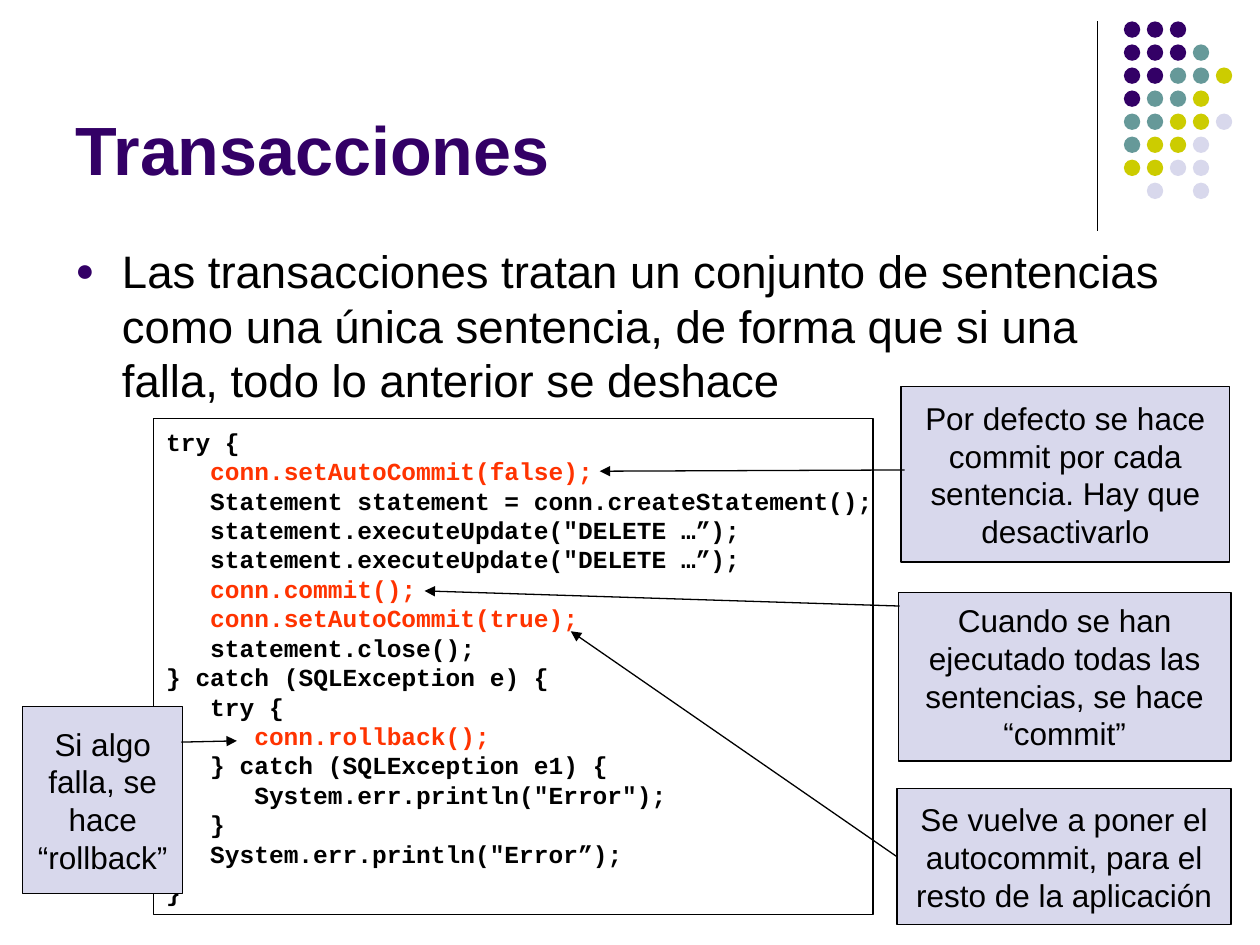
from lxml import etree
from pptx import Presentation
from pptx import util as u
from pptx.dml.color import RGBColor
from pptx.enum import shapes, text
from pptx.oxml.ns import qn

COLORS = {"purple": "330066", "teal": "669999", "lime": "CCCC00", "lilac": "D8D8EC",
          "black": "000000", "white": "FFFFFF", "red": "FF3300"}
rgb = {name: RGBColor.from_string(value) for name, value in COLORS.items()}


def style(p, size, color="black", font="Arial", bold=False):
    p.line_spacing = u.Pt(size * 1.2)
    for r in p.runs:
        r.font.size, r.font.name, r.font.bold = u.Pt(size), font, bold
        r.font.color.rgb = rgb[color]


def add_line(x1, y1, x2, y2, arrow=True):
    c = s.shapes.add_connector(shapes.MSO_CONNECTOR.STRAIGHT, u.Inches(x1), u.Inches(y1),
                               u.Inches(x2), u.Inches(y2))
    c.line.color.rgb, c.line.width = rgb["black"], u.Pt(0.75)
    if arrow:
        etree.SubElement(c.line._get_or_add_ln(), qn("a:tailEnd"), type="triangle")
    etree.SubElement(c._element.spPr, qn("a:effectLst"))
    return c


prs = Presentation()
prs.slide_width, prs.slide_height = u.Inches(10), u.Inches(7.5)
s = prs.slides.add_slide(prs.slide_layouts[5])

add_line(8.71, 0.17, 8.71, 1.83, arrow=False)
dot_colors = {"P": "purple", "T": "teal", "Y": "lime", "L": "lilac"}
dot_rows = ["PPP", "PPPT", "PPTTY", "PTTY", "TTYYL", "TYYL", "YYLL", ".L.L"]
for row, marks in enumerate(dot_rows):
    for col, mark in enumerate(marks):
        if mark in dot_colors:
            sp = s.shapes.add_shape(shapes.MSO_SHAPE.OVAL, u.Inches(8.92 + col * 0.73 / 4),
                                    u.Inches(0.17 + row * 1.28 / 7), u.Inches(0.13), u.Inches(0.13))
            sp.shadow.inherit = False
            sp.fill.solid()
            sp.fill.fore_color.rgb = rgb[dot_colors[mark]]
            sp.line.fill.background()

title = s.shapes.title
title.left, title.top, title.width, title.height = map(u.Inches, (0.5, 0.13, 8.25, 1.42))
tf = title.text_frame
tf.text = "Transacciones"
tf.vertical_anchor = text.MSO_ANCHOR.BOTTOM
tf.paragraphs[0].alignment = text.PP_ALIGN.LEFT
style(tf.paragraphs[0], 39, "purple", bold=True)

body = s.shapes.add_textbox(u.Inches(0.5), u.Inches(1.88), u.Inches(9), u.Inches(1.44))
tf = body.text_frame
tf.word_wrap = True
tf.text = ("Las transacciones tratan un conjunto de sentencias como una única sentencia, "
           "de forma que si una falla, todo lo anterior se deshace")
p = tf.paragraphs[0]
style(p, 26)
pPr = p._p.get_or_add_pPr()
pPr.set("marL", str(u.Inches(0.37)))
pPr.set("indent", str(-u.Inches(0.37)))
bullet_color = etree.SubElement(pPr, qn("a:buClr"))
etree.SubElement(bullet_color, qn("a:srgbClr"), val=COLORS["purple"])
etree.SubElement(pPr, qn("a:buSzPct"), val="70000")
etree.SubElement(pPr, qn("a:buFont"), typeface="Arial")
etree.SubElement(pPr, qn("a:buChar"), char="●")

code_lines = [
    (0, "try {", "black"),
    (1, "conn.setAutoCommit(false);", "red"),
    (1, "Statement statement = conn.createStatement();", "black"),
    (1, 'statement.executeUpdate("DELETE …”);', "black"),
    (1, 'statement.executeUpdate("DELETE …”);', "black"),
    (1, "conn.commit();", "red"),
    (1, "conn.setAutoCommit(true);", "red"),
    (1, "statement.close();", "black"),
    (0, "} catch (SQLException e) {", "black"),
    (1, "try {", "black"),
    (2, "conn.rollback();", "red"),
    (1, "} catch (SQLException e1) {", "black"),
    (2, 'System.err.println("Error");', "black"),
    (1, "}", "black"),
    (1, 'System.err.println("Error”);', "black"),
    (0, "}", "black"),
]
boxes = [
    ("white", 1.22, 3.32, 5.71, 3.94, "\n".join(line for _, line, _ in code_lines)),
    ("lilac", 7.15, 3.07, 2.61, 1.39,
     "Por defecto se hace commit por cada sentencia. Hay que desactivarlo"),
    ("lilac", 7.13, 4.7, 2.64, 1.34,
     "Cuando se han ejecutado todas las sentencias, se hace “commit”"),
    ("lilac", 7.12, 6.26, 2.65, 1.08,
     "Se vuelve a poner el autocommit, para el resto de la aplicación"),
    ("lilac", 0.18, 5.61, 1.27, 1.48, "Si algo falla, se hace “rollback”"),
]
drawn = []
for fill, x, y, w, h, words in boxes:
    sp = s.shapes.add_shape(shapes.MSO_SHAPE.RECTANGLE, *map(u.Inches, (x, y, w, h)))
    sp.shadow.inherit = False
    sp.fill.solid()
    sp.fill.fore_color.rgb = rgb[fill]
    sp.line.color.rgb, sp.line.width = rgb["black"], u.Pt(0.75)
    tf = sp.text_frame
    tf.vertical_anchor = text.MSO_ANCHOR.MIDDLE
    tf.word_wrap = True
    tf.text = words
    for p in tf.paragraphs:
        p.alignment = text.PP_ALIGN.CENTER
        style(p, 18)
    drawn.append(sp)

code, _, _, autocommit, _ = drawn
tf = code.text_frame
tf.word_wrap = False
tf.margin_right = 0
for p, (level, _, color) in zip(tf.paragraphs, code_lines):
    p.alignment = text.PP_ALIGN.LEFT
    p._p.get_or_add_pPr().set("marL", str(u.Inches(0.35 * level)))
    style(p, 14, color, "Courier New", True)
tf.paragraphs[-1].space_before = u.Pt(5)

add_line(7.18, 3.73, 4.76, 3.74)
add_line(7.14, 4.81, 3.37, 4.69)
add_line(7.12, 6.8, 4.53, 5.01).begin_connect(autocommit, 1)
add_line(1.44, 5.89, 1.88, 5.88)

prs.save("out.pptx")
